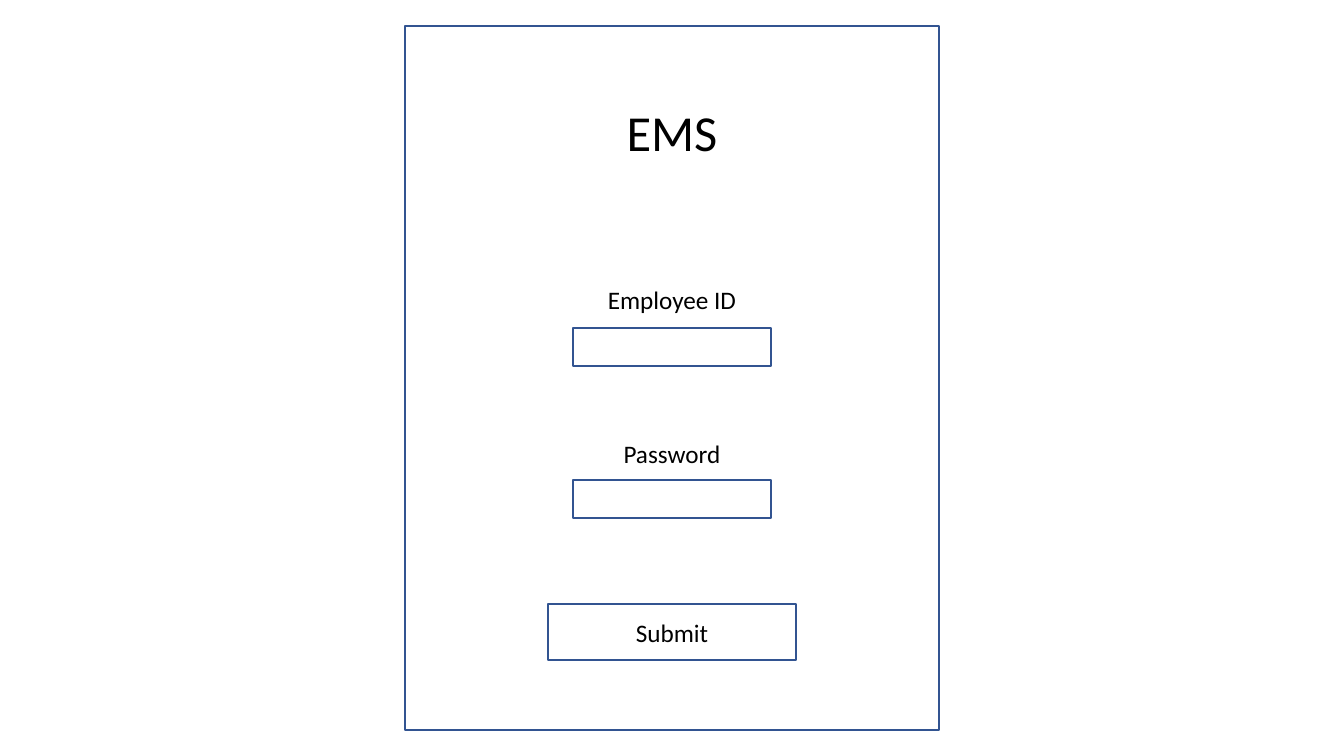
from pptx import Presentation
from pptx.dml.color import RGBColor
from pptx.enum.shapes import MSO_SHAPE
from pptx.enum.text import MSO_ANCHOR, PP_ALIGN
from pptx.util import Inches, Pt

COLORS = {"background": "FFFFFF", "outline": "325491", "text": "000000"}
FONT = "Calibri"
PIXEL = Inches(1) / 100.8


def pixels(count):
    return round(count * PIXEL)


def add_box(slide, left, top, width, height):
    shape = slide.shapes.add_shape(
        MSO_SHAPE.RECTANGLE, *map(pixels, (left, top, width, height)))
    shape.shadow.inherit = False
    shape.fill.solid()
    shape.fill.fore_color.rgb = RGBColor.from_string(COLORS["background"])
    shape.line.color.rgb = RGBColor.from_string(COLORS["outline"])
    shape.line.width = Pt(1)
    return shape


def write_lines(shape, lines):
    """Write centred lines given as (text, size, space before) in points."""
    frame = shape.text_frame
    frame.word_wrap = True
    for index, (text, size, space_before) in enumerate(lines):
        paragraph = frame.add_paragraph() if index else frame.paragraphs[0]
        paragraph.alignment = PP_ALIGN.CENTER
        paragraph.space_before = Pt(space_before)
        run = paragraph.add_run()
        run.text = text
        run.font.name = FONT
        run.font.size = Pt(size)
        run.font.color.rgb = RGBColor.from_string(COLORS["text"])


def add_login_form(slide, left, top, width, height):
    # Panel with the title and field labels
    panel = add_box(slide, left, top, width, height)
    panel.text_frame.vertical_anchor = MSO_ANCHOR.TOP
    panel.text_frame.margin_top = pixels(75)
    write_lines(panel, [("EMS", 36, 0), ("Employee ID", 18, 88), ("Password", 18, 88)])

    # Input fields, centred below their labels
    field_width, field_height, field_pitch = 198, 38, 152
    for index in range(2):
        add_box(slide, left + (width - field_width) // 2,
                top + 302 + index * field_pitch, field_width, field_height)

    # Submit button
    button_width, button_height = 248, 56
    button = add_box(slide, left + (width - button_width) // 2, top + 578,
                     button_width, button_height)
    button.text_frame.vertical_anchor = MSO_ANCHOR.MIDDLE
    write_lines(button, [("Submit", 18, 0)])


presentation = Presentation()
presentation.slide_width = pixels(1344)
presentation.slide_height = pixels(756)
slide = presentation.slides.add_slide(presentation.slide_layouts[6])
add_login_form(slide, 405, 26, 534, 704)
presentation.save("out.pptx")
